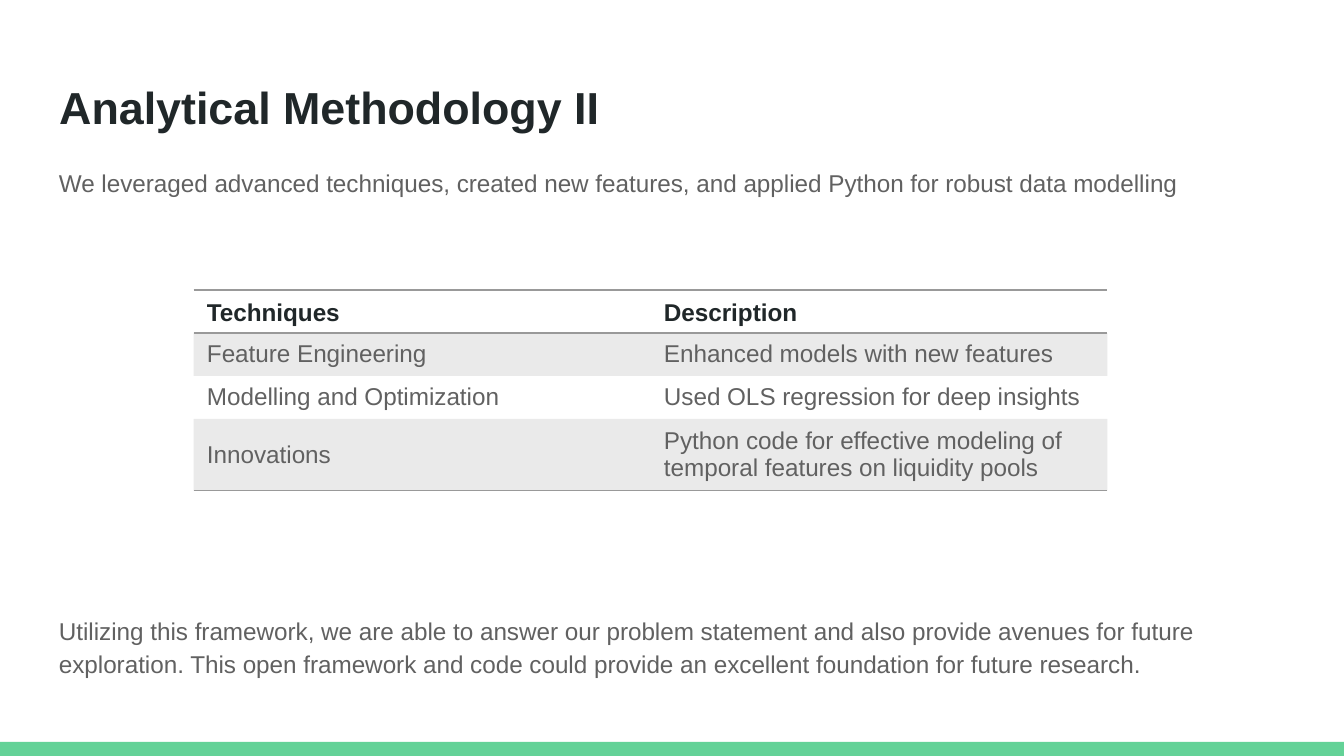
from dataclasses import dataclass

from lxml import etree
from pptx import Presentation
from pptx.dml.color import RGBColor as RGB
from pptx.enum.shapes import MSO_SHAPE as Shape
from pptx.enum.text import MSO_ANCHOR as Anchor, MSO_AUTO_SIZE as Fit, PP_ALIGN as Align
from pptx.oxml.ns import qn
from pptx.util import Inches, Pt


@dataclass(frozen=True)
class Theme:
    font: str = "Arial"
    dark: str = "202729"
    body: str = "616161"
    line: str = "999999"
    green: str = "63D297"
    head_size: int = 24
    text_size: int = 13


THEME = Theme()
PLAIN_STYLE = "{2D5ABB26-0587-4C30-8999-92F81FD0307C}"
WIDTH, HEIGHT = Inches(10), Inches(10 * 9 / 16)
LEFT = Inches(0.34)
INTRO = ("We leveraged advanced techniques, created new features, and applied "
         "Python for robust data modelling")
CLOSING = ("Utilizing this framework, we are able to answer our problem statement "
           "and also provide avenues for future exploration. This open framework and code "
           "could provide an excellent foundation for future research.")
ROWS = [
    ("Techniques", "Description"),
    ("Feature Engineering", "Enhanced models with new features"),
    ("Modelling and Optimization", "Used OLS regression for deep insights"),
    ("Innovations",
     "Python code for effective modeling of temporal features on liquidity pools"),
]
HEIGHTS = (0.32, 0.31, 0.32, 0.53)


def write(para, text, size=THEME.text_size, color=THEME.body, bold=False,
          spacing=None, after=None):
    para.alignment = Align.LEFT
    para.line_spacing = spacing
    if after is not None:
        para.space_after = Pt(after)
    run = para.add_run()
    run.text = text
    font = run.font
    font.name, font.size, font.bold = THEME.font, Pt(size), bold
    font.color.rgb = RGB.from_string(color)


def add_title(slide, text):
    title = slide.shapes.title
    title.left, title.top = LEFT, Inches(0.49)
    title.width, title.height = Inches(9.32), Inches(0.63)
    frame = title.text_frame
    frame.auto_size = Fit.NONE
    frame.vertical_anchor = Anchor.TOP
    frame.margin_left = frame.margin_right = Inches(0.1)
    frame.margin_top = frame.margin_bottom = Inches(0.1)
    write(frame.paragraphs[0], text, size=THEME.head_size, color=THEME.dark, bold=True)


def add_body(slide):
    box = slide.shapes.add_textbox(LEFT, Inches(1.17), Inches(9.2), Inches(3.95))
    frame = box.text_frame
    frame.word_wrap = True
    # The space after the opening line leaves room for the table
    write(frame.paragraphs[0], INTRO, spacing=1.15, after=222)
    write(frame.add_paragraph(), CLOSING, spacing=1.15, after=12)


def add_bar(slide):
    top = Inches(5.52)
    bar = slide.shapes.add_shape(Shape.RECTANGLE, 0, top, WIDTH, HEIGHT - top)
    bar.shadow.inherit = False
    bar.fill.solid()
    bar.fill.fore_color.rgb = RGB.from_string(THEME.green)
    bar.line.fill.background()


def shade(cell):
    cell.fill.solid()
    cell.fill.fore_color.rgb = RGB.from_string(THEME.line)
    color = next(cell._tc.tcPr.iter(qn("a:srgbClr")))
    etree.SubElement(color, qn("a:alpha"), val="20000")


def rule(cell, sides):
    # Borders stand before the fill in the cell properties
    props = cell._tc.get_or_add_tcPr()
    for i, side in enumerate(sides):
        line = etree.Element(qn(f"a:ln{side}"), w=str(Pt(1)))
        fill = etree.SubElement(line, qn("a:solidFill"))
        etree.SubElement(fill, qn("a:srgbClr"), val=THEME.line)
        props.insert(i, line)


def add_grid(slide):
    grid = slide.shapes.add_table(
        len(ROWS), 2, Inches(1.44), Inches(2.16), Inches(6.8), Inches(sum(HEIGHTS))).table
    grid.first_row = grid.horz_banding = False
    grid._tbl.tblPr.find(qn("a:tableStyleId")).text = PLAIN_STYLE
    borders = {0: "TB", len(ROWS) - 1: "B"}
    for r, (row, height) in enumerate(zip(ROWS, HEIGHTS)):
        grid.rows[r].height = Inches(height)
        head = r == 0
        for c, text in enumerate(row):
            cell = grid.cell(r, c)
            cell.vertical_anchor = Anchor.BOTTOM if head else Anchor.MIDDLE
            write(cell.text_frame.paragraphs[0], text,
                  color=THEME.dark if head else THEME.body, bold=head)
            if r % 2:
                shade(cell)
            else:
                cell.fill.background()
            rule(cell, borders.get(r, ""))


def main():
    deck = Presentation()
    deck.slide_width, deck.slide_height = WIDTH, HEIGHT
    slide = deck.slides.add_slide(deck.slide_layouts[5])

    # Footer band and heading
    add_bar(slide)
    add_title(slide, "Analytical Methodology II")

    # Opening and closing words, with the table between them
    add_body(slide)
    add_grid(slide)

    deck.save("out.pptx")


if __name__ == "__main__":
    main()
